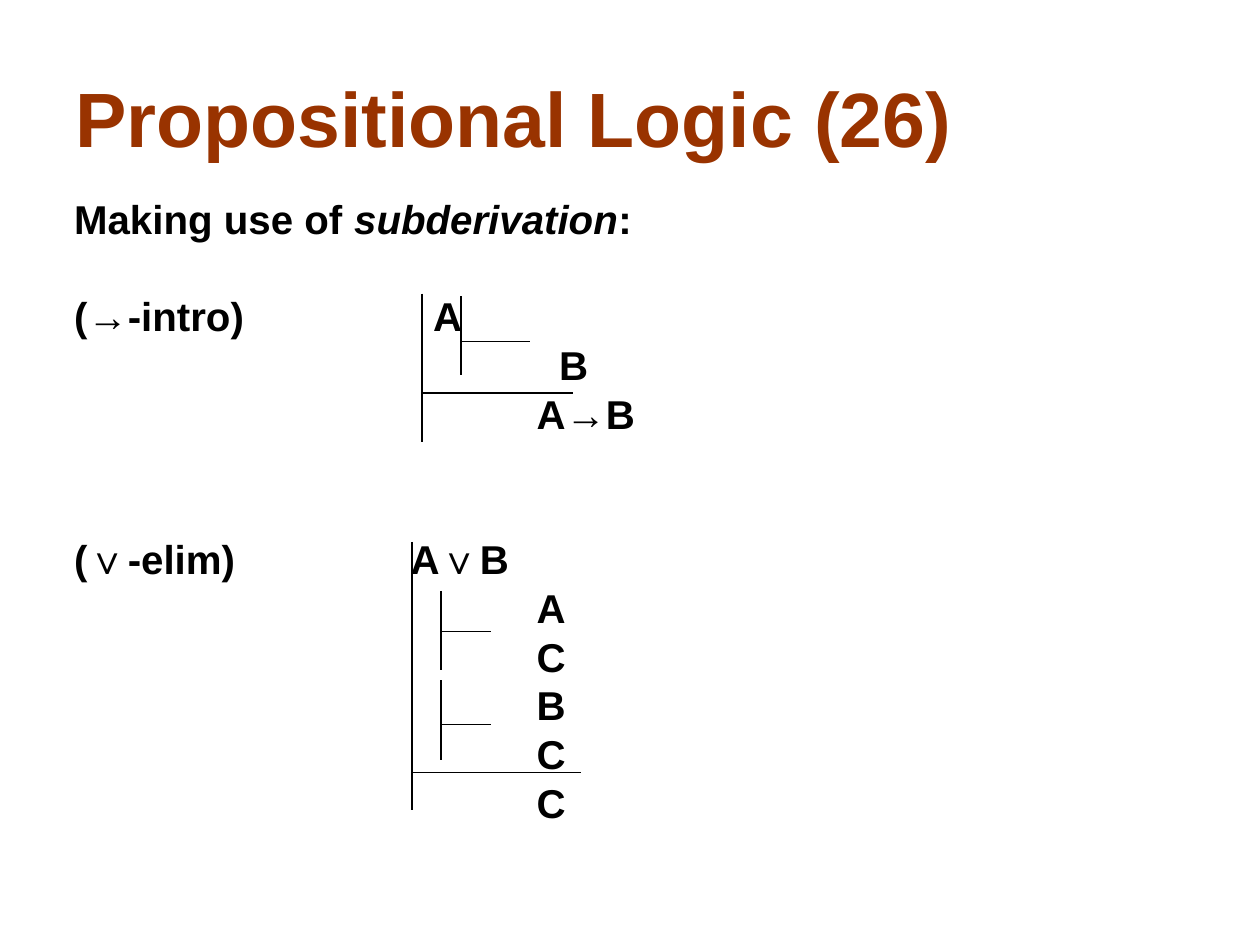
import pptx
import pptx.util
import pptx.dml.color
import pptx.enum.shapes
import pptx.enum.text
import pptx.oxml.ns
import lxml.etree

Inches, Pt = pptx.util.Inches, pptx.util.Pt
RUST = pptx.dml.color.RGBColor(0x99, 0x33, 0x00)
BLACK = pptx.dml.color.RGBColor(0, 0, 0)
qn = pptx.oxml.ns.qn

prs = pptx.Presentation()
prs.slide_width, prs.slide_height = Inches(10), Inches(7.5)
s = prs.slides.add_slide(prs.slide_layouts[6])


def add_run(p, text, size, color, italic=False):
    r = p.add_run()
    r.text = text
    r.font.name = "Arial"
    r.font.size = Pt(size)
    r.font.bold = True
    r.font.italic = italic
    r.font.color.rgb = color


title = s.shapes.add_textbox(Inches(0.5), Inches(0.3), Inches(9), Inches(1.25))
tf = title.text_frame
tf.word_wrap = True
tf.vertical_anchor = pptx.enum.text.MSO_ANCHOR.MIDDLE
add_run(tf.paragraphs[0], "Propositional Logic (26)", 44, RUST)

body = s.shapes.add_textbox(Inches(0.49), Inches(1.57), Inches(9), Inches(5.26))
tf = body.text_frame
tf.word_wrap = True
LINE, GAP = 22, 5.8
rows = [
    (["Making use of ", "subderivation", ":"], None, 0),
    (["(→-intro)\tA"], 2.85, 1),
    (["\tB"], 3.85, 0),
    (["\tA→B"], 3.67, 0),
    (["(∨-elim)\tA∨B"], 2.67, 2),
] + [(["\t" + letter], 3.67, 0) for letter in "ACBCC"]
for i, (parts, stop, skipped) in enumerate(rows):
    p = tf.add_paragraph() if i else tf.paragraphs[0]
    if stop:
        tabs = lxml.etree.SubElement(p._p.get_or_add_pPr(), qn("a:tabLst"))
        lxml.etree.SubElement(tabs, qn("a:tab"), pos=str(Inches(stop)), algn="l")
    p.line_spacing = Pt(LINE)
    if i:
        p.space_before = Pt(GAP + skipped * (LINE + GAP))
    for part in parts:
        add_run(p, part, 23, BLACK, part == "subderivation")

rules = [
    (3.66, 2.35, 3.66, 2.98),
    (3.66, 2.71, 4.21, 2.71),
    (3.35, 2.33, 3.35, 3.51),
    (3.36, 3.12, 4.55, 3.12),
    (3.5, 4.69, 3.5, 5.32),
    (3.5, 5.01, 3.9, 5.01),
    (3.5, 5.4, 3.5, 6.03),
    (3.5, 5.75, 3.9, 5.75),
    (3.27, 4.3, 3.27, 6.43),
    (3.27, 6.13, 4.61, 6.13),
]
for ends in rules:
    line = s.shapes.add_connector(
        pptx.enum.shapes.MSO_CONNECTOR.STRAIGHT, *[Inches(v) for v in ends])
    line.line.color.rgb = BLACK
    line.line.width = Pt(0.75)
    lxml.etree.SubElement(line._element.spPr, qn("a:effectLst"))

prs.save("out.pptx")
